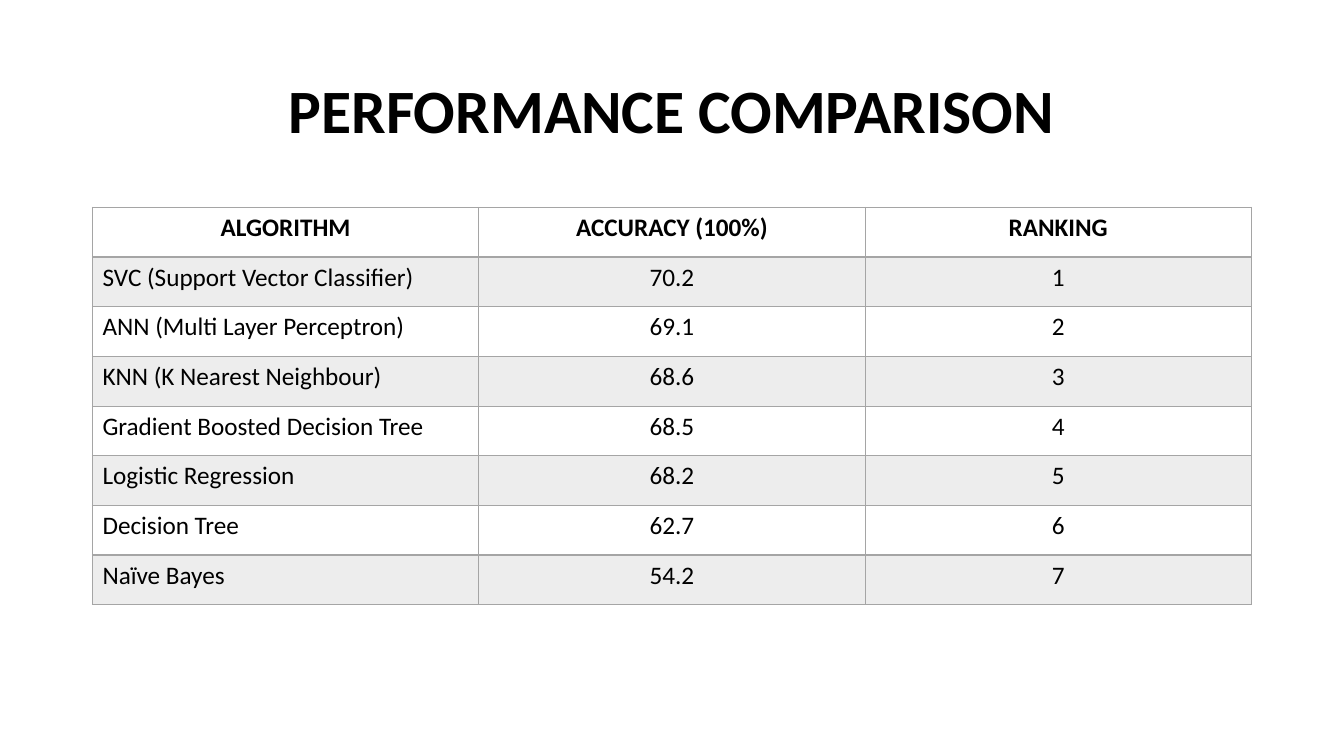
from lxml import etree
from pptx import Presentation
from pptx import util as u
from pptx.dml.color import RGBColor
from pptx.enum import text as t
from pptx.oxml import ns

COLORS = {"ink": "000000", "grey": "A5A5A5"}
BAND_OPACITY = 20
HEADINGS = ("ALGORITHM", "ACCURACY (100%)", "RANKING")
ACCURACIES = (
    ("SVC (Support Vector Classifier)", "70.2"),
    ("ANN (Multi Layer Perceptron)", "69.1"),
    ("KNN (K Nearest Neighbour)", "68.6"),
    ("Gradient Boosted Decision Tree", "68.5"),
    ("Logistic Regression", "68.2"),
    ("Decision Tree", "62.7"),
    ("Naïve Bayes", "54.2"),
)


def write(frame, content, size=18, bold=False, align=t.PP_ALIGN.CENTER, spacing=None):
    para = frame.paragraphs[0]
    para.alignment = align
    para.line_spacing = spacing
    span = para.add_run()
    span.text = content
    span.font.name = "Calibri"
    span.font.size = u.Pt(size)
    span.font.bold = bold
    span.font.color.rgb = RGBColor.from_string(COLORS["ink"])


def add_child(parent, tag, **attributes):
    return etree.SubElement(parent, ns.qn(tag), **attributes)


def draw_borders(cell, **widths):
    """Give each side (L, R, T, B) a grey line of its width in points."""
    properties = cell._tc.get_or_add_tcPr()
    for side, width in widths.items():
        line = add_child(properties, f"a:ln{side}", w=str(u.Pt(width)))
        fill = add_child(line, "a:solidFill")
        add_child(fill, "a:srgbClr", val=COLORS["grey"])


def shade(cell, banded):
    if not banded:
        cell.fill.background()
        return
    cell.fill.solid()
    cell.fill.fore_color.rgb = RGBColor.from_string(COLORS["grey"])
    color = cell._tc.tcPr.find(ns.qn("a:solidFill")).find(ns.qn("a:srgbClr"))
    add_child(color, "a:alpha", val=str(BAND_OPACITY * 1000))


def add_title(page, left, top, width, height):
    box = page.shapes.add_textbox(left, top, width, height)
    frame = box.text_frame
    frame.word_wrap = True
    frame.vertical_anchor = t.MSO_ANCHOR.MIDDLE
    write(frame, "PERFORMANCE COMPARISON", size=44, bold=True, spacing=0.9)


def add_ranking_table(page, left, top, width, height):
    rows = [HEADINGS]
    rows += [(*row, str(rank)) for rank, row in enumerate(ACCURACIES, 1)]
    table = page.shapes.add_table(
        len(rows), len(HEADINGS), left, top, width, height).table
    table.first_row = table.horz_banding = False
    for r, row in enumerate(rows):
        header = r == 0
        for c, content in enumerate(row):
            cell = table.cell(r, c)
            draw_borders(cell, L=1, R=1, T=2 if r == 1 else 1, B=2 if header else 1)
            shade(cell, banded=r % 2 == 1)
            centred = header or c > 0
            write(cell.text_frame, content, bold=header,
                  align=t.PP_ALIGN.CENTER if centred else t.PP_ALIGN.LEFT)


def main():
    deck = Presentation()
    deck.slide_width, deck.slide_height = u.Cm(33.87), u.Cm(19.05)
    page = deck.slides.add_slide(deck.slide_layouts[6])
    left, width = u.Cm(2.33), u.Cm(29.21)
    add_title(page, left, u.Cm(1.01), width, u.Cm(3.68))
    add_ranking_table(page, left, u.Cm(5.23), width, u.Cm(10.01))
    deck.save("out.pptx")


if __name__ == "__main__":
    main()
